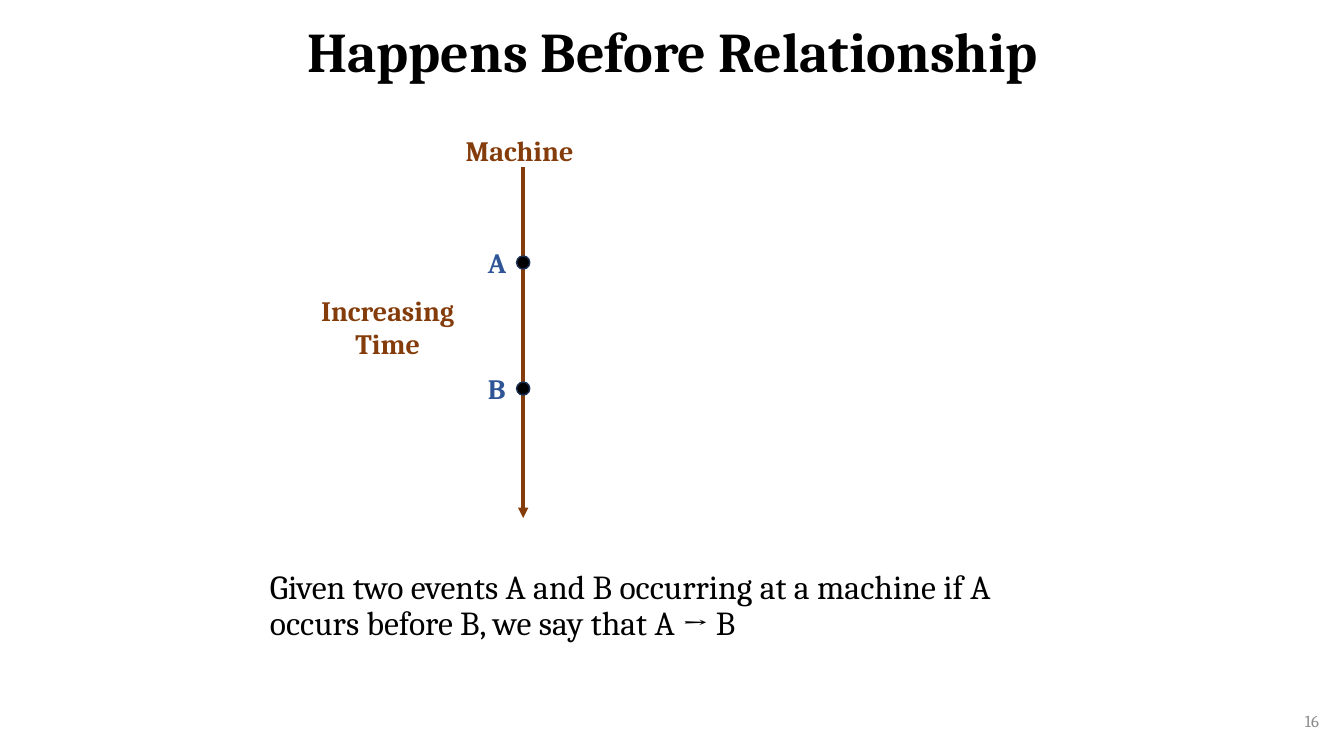
"""Build the slide that explains the happens-before relationship on one machine."""
from pptx import Presentation
from pptx.dml.color import RGBColor as RGB
from pptx.enum.shapes import MSO_CONNECTOR as LINE, MSO_SHAPE as SHAPE
from pptx.enum.text import MSO_ANCHOR as ANCHOR, PP_ALIGN as ALIGN
from pptx.oxml.ns import qn
from pptx.util import Inches, Pt
from lxml import etree

THEME = {
    "font": "Cambria",
    "ink": RGB.from_string("000000"),
    "time": RGB.from_string("843C0B"),
    "event": RGB.from_string("2F5597"),
    "rim": RGB.from_string("1E3256"),
    "muted": RGB.from_string("8C8C8C"),
    "title": Pt(40),
    "body": Pt(24),
    "label": Pt(20),
    "number": Pt(12),
}

prs = Presentation()
prs.slide_width, prs.slide_height = Inches(13.33), Inches(7.5)
s = prs.slides.add_slide(prs.slide_layouts[6])


def place(left, top, width, height):
    """Turn percentages of the slide into lengths."""
    w, h = prs.slide_width / 100, prs.slide_height / 100
    return int(left * w), int(top * h), int(width * w), int(height * h)


def add_text(box, lines, size, color, bold=False, align=ALIGN.LEFT,
             anchor=ANCHOR.TOP, spacing=1.0):
    """Add a wrapped text box with one paragraph per line."""
    tf = s.shapes.add_textbox(*place(*box)).text_frame
    tf.word_wrap, tf.vertical_anchor = True, anchor
    tf.text = "\n".join(lines)
    for p in tf.paragraphs:
        p.alignment, p.line_spacing = align, spacing
        p.font.name, p.font.size, p.font.bold = THEME["font"], THEME[size], bold
        p.font.color.rgb = THEME[color]


add_text((6.9, 0, 86.27, 14.4), ["Happens Before Relationship"], "title", "ink",
         True, ALIGN.CENTER, ANCHOR.MIDDLE, 0.9)
add_text((19.35, 74.8, 57.84, 11.6),
         ["Given two events A and B occurring at a machine if A occurs before B, "
          "we say that A → B"], "body", "ink", spacing=0.9)
add_text((76.37, 92.67, 22.5, 5.33), ["16"], "number", "muted",
         align=ALIGN.RIGHT, anchor=ANCHOR.MIDDLE)

axis_x, axis_top, axis_end = 38.93, 22.13, 68.53
x, y1, _, y2 = place(axis_x, axis_top, 0, axis_end)
axis = s.shapes.add_connector(LINE.STRAIGHT, x, y1, x, y2)
axis.line.color.rgb, axis.line.width = THEME["time"], Pt(2.5)
etree.SubElement(axis.line._get_or_add_ln(), qn("a:tailEnd"), type="triangle")
etree.SubElement(axis._element.spPr, qn("a:effectLst"))

add_text((22.88, 38.13, 11.93, 10.27), ["Increasing", "Time"], "label", "time",
         True, ALIGN.CENTER)
add_text((33.91, 17.07, 9.98, 5.87), ["Machine"], "label", "time", True)

dot_w, dot_h = 0.98, 1.73
for event, y in (("A", 34.73), ("B", 51.4)):
    sp = s.shapes.add_shape(SHAPE.OVAL, *place(axis_x - dot_w / 2, y - dot_h / 2, dot_w, dot_h))
    sp.shadow.inherit = False
    sp.fill.solid()
    sp.fill.fore_color.rgb = THEME["ink"]
    sp.line.color.rgb, sp.line.width = THEME["rim"], Pt(1)
    add_text((35.56, y - 2.87, 3, 5.87), [event], "label", "event", True)

prs.save("out.pptx")
